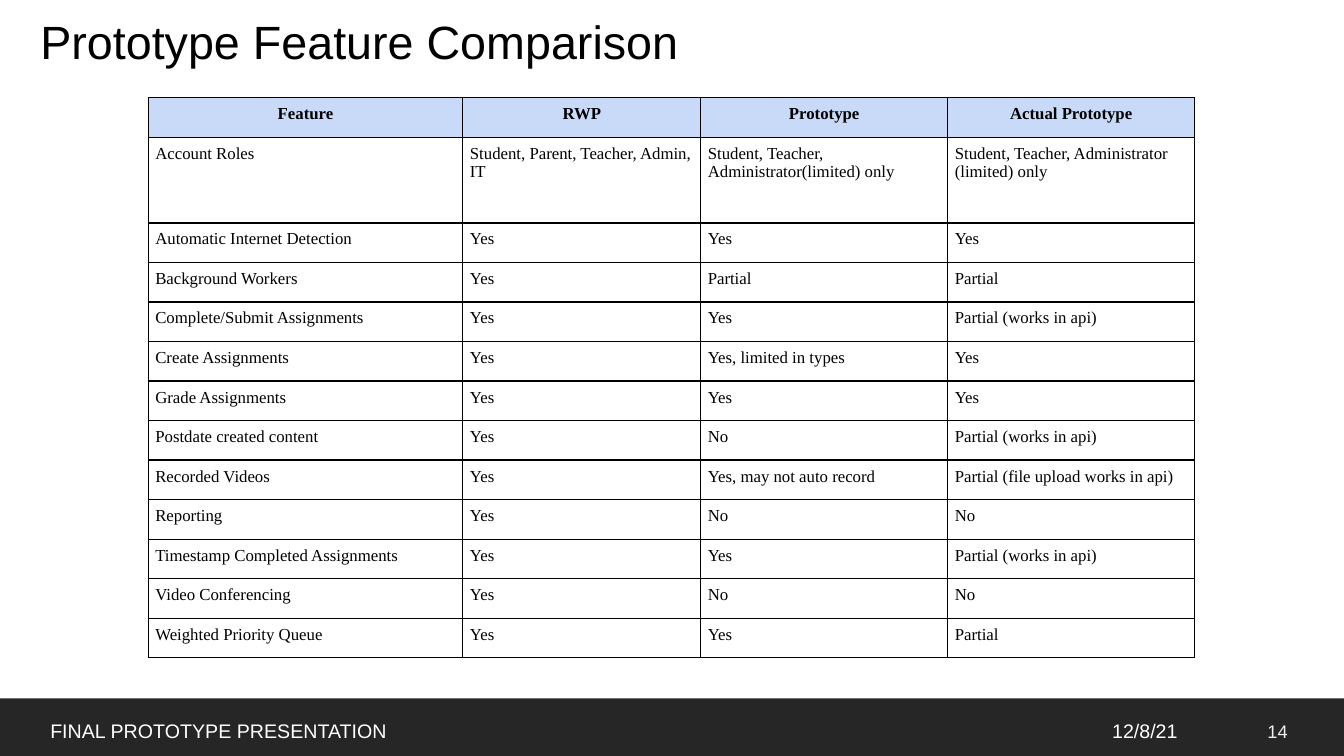
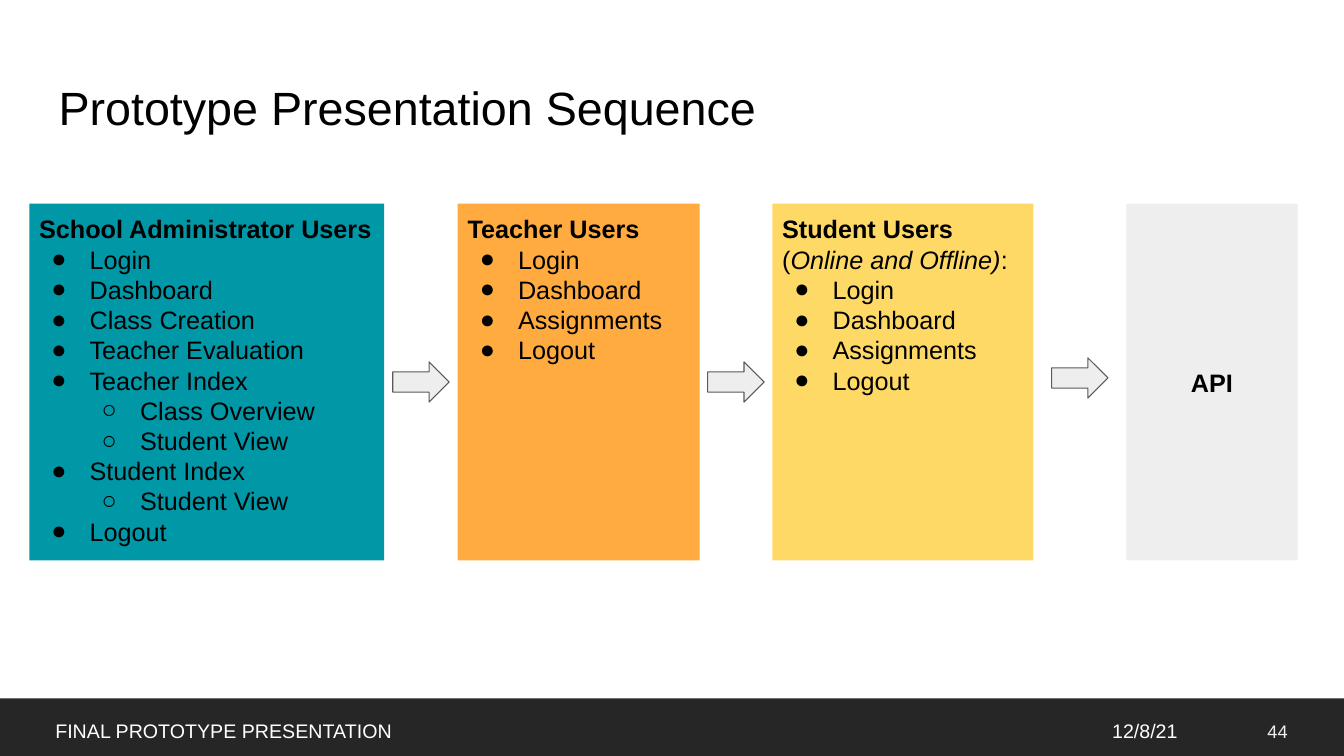
import dataclasses

import pptx
import pptx.dml.color
import pptx.enum.shapes
import pptx.enum.text
import pptx.oxml.ns
import pptx.util
from lxml import etree

ANCHOR = pptx.enum.text.MSO_ANCHOR
ALIGN = pptx.enum.text.PP_ALIGN
PRESET = pptx.enum.shapes.MSO_SHAPE


@dataclasses.dataclass(frozen=True)
class Theme:
    sans: str = "Arial"
    serif: str = "Times New Roman"
    black: str = "000000"
    white: str = "FFFFFF"
    band: str = "262626"
    page_number: str = "EFEFEF"
    header: str = "C9DAF8"
    teal: str = "0097A7"
    orange: str = "FFAB40"
    yellow: str = "FFD966"
    grey: str = "EEEEEE"
    outline: str = "595959"
    title_size: float = 33.3
    card_size: float = 18
    footer_size: float = 14
    number_size: float = 13
    table_size: float = 12


THEME = Theme()
SLIDE_WIDTH = pptx.util.Inches(13.33)
SLIDE_HEIGHT = pptx.util.Inches(7.5)

# Feature table: column widths and row heights in percent of the slide
COLUMN_WIDTHS = (23.41, 17.7, 18.38, 18.38)
ROW_HEIGHT, TALL_ROW_HEIGHT, TALL_ROW = 5.23, 11.33, 1
FEATURES = (
    ("Feature", "RWP", "Prototype", "Actual Prototype"),
    ("Account Roles", "Student, Parent, Teacher, Admin, IT",
     "Student, Teacher, Administrator(limited) only",
     "Student, Teacher, Administrator (limited) only"),
    ("Automatic Internet Detection", "Yes", "Yes", "Yes"),
    ("Background Workers", "Yes", "Partial", "Partial"),
    ("Complete/Submit Assignments", "Yes", "Yes", "Partial (works in api)"),
    ("Create Assignments", "Yes", "Yes, limited in types", "Yes"),
    ("Grade Assignments", "Yes", "Yes", "Yes"),
    ("Postdate created content", "Yes", "No", "Partial (works in api)"),
    ("Recorded Videos", "Yes", "Yes, may not auto record",
     "Partial (file upload works in api)"),
    ("Reporting", "Yes", "No", "No"),
    ("Timestamp Completed Assignments", "Yes", "Yes", "Partial (works in api)"),
    ("Video Conferencing", "Yes", "No", "No"),
    ("Weighted Priority Queue", "Yes", "Yes", "Partial"),
)

# Sequence cards: left, width, fill, heading runs, (level, item) list
CARD_TOP, CARD_HEIGHT = 26.93, 47.2
ARROW_WIDTH, ARROW_HEIGHT = 4.2, 5.33
ARROW_RISES = (0, 0, 0.53)
BOLD = {"bold": True}
CARDS = (
    (2.18, 26.41, THEME.teal, [("School Administrator Users", BOLD)],
     [(0, "Login"), (0, "Dashboard"), (0, "Class Creation"),
      (0, "Teacher Evaluation"), (0, "Teacher Index"),
      (1, "Class Overview"), (1, "Student View"),
      (0, "Student Index"), (1, "Student View"), (0, "Logout")]),
    (34.06, 18, THEME.orange, [("Teacher Users", BOLD)],
     [(0, "Login"), (0, "Dashboard"), (0, "Assignments"), (0, "Logout")]),
    (57.46, 19.43, THEME.yellow,
     [("Student Users ", BOLD), ("(", {}),
      ("Online and Offline)", {"italic": True}), (":", {})],
     [(0, "Login"), (0, "Dashboard"), (0, "Assignments"), (0, "Logout")]),
    (83.8, 12.75, THEME.grey, [("API", BOLD)], []),
)


def across(percent):
    return round(SLIDE_WIDTH * percent / 100)


def down(percent):
    return round(SLIDE_HEIGHT * percent / 100)


def place(left, top, width, height):
    return across(left), down(top), across(width), down(height)


def rgb(value):
    return pptx.dml.color.RGBColor.from_string(value)


def write(paragraph, text, size, color=THEME.black, font=THEME.sans,
          bold=False, italic=False, align=ALIGN.LEFT):
    paragraph.alignment = align
    run = paragraph.add_run()
    run.text = text
    run.font.size = pptx.util.Pt(size)
    run.font.name = font
    run.font.bold = bold
    run.font.italic = italic
    run.font.color.rgb = rgb(color)


def set_frame(frame, horizontal, vertical, anchor=ANCHOR.TOP):
    frame.word_wrap = True
    frame.auto_size = pptx.enum.text.MSO_AUTO_SIZE.NONE
    frame.vertical_anchor = anchor
    frame.margin_left = frame.margin_right = pptx.util.Inches(horizontal)
    frame.margin_top = frame.margin_bottom = pptx.util.Inches(vertical)


def add_child(parent, tag, **attributes):
    return etree.SubElement(parent, pptx.oxml.ns.qn(tag), attributes)


def add_bullet(paragraph, level):
    paragraph.level = level
    properties = paragraph._p.get_or_add_pPr()
    properties.set("marL", str(pptx.util.Inches(0.5 * (level + 1))))
    properties.set("indent", str(pptx.util.Inches(-0.38)))
    add_child(add_child(properties, "a:buClr"), "a:srgbClr", val=THEME.black)
    add_child(properties, "a:buSzPts", val=str(THEME.card_size * 100))
    add_child(properties, "a:buFont", typeface=THEME.sans)
    add_child(properties, "a:buChar", char="●○"[level])


def add_block(slide, box, fill, preset=PRESET.RECTANGLE, line=None):
    shape = slide.shapes.add_shape(preset, *place(*box))
    shape.shadow.inherit = False
    shape.fill.solid()
    shape.fill.fore_color.rgb = rgb(fill)
    if line:
        shape.line.color.rgb = rgb(line)
        shape.line.width = pptx.util.Pt(0.75)
    else:
        shape.line.fill.background()
    return shape


def add_label(slide, box, text, **text_format):
    label = slide.shapes.add_textbox(*place(*box))
    set_frame(label.text_frame, 0.1, 0.05, ANCHOR.MIDDLE)
    write(label.text_frame.paragraphs[0], text, **text_format)


def add_page(presentation, title, title_left, title_top, number, footer_left):
    """Add a slide with its title and the shared footer band."""
    slide = presentation.slides.add_slide(presentation.slide_layouts[5])
    heading = slide.shapes.title
    heading.left, heading.top, heading.width, heading.height = place(
        title_left, title_top, 93.17, 11.07)
    set_frame(heading.text_frame, 0.13, 0.13)
    write(heading.text_frame.paragraphs[0], title, size=THEME.title_size)

    add_block(slide, (0, 92.4, 100, 7.6), THEME.band)
    footer = {"size": THEME.footer_size, "color": THEME.white}
    add_label(slide, (footer_left, 94, 55.96, 5.33),
              "FINAL PROTOTYPE PRESENTATION", **footer)
    add_label(slide, (67.14, 94, 21.23, 5.33), "12/8/21",
              align=ALIGN.RIGHT, **footer)
    add_label(slide, (90.17, 94, 6.38, 5.33), str(number), align=ALIGN.RIGHT,
              size=THEME.number_size, color=THEME.page_number)
    return slide


def add_borders(cell):
    properties = cell._tc.get_or_add_tcPr()
    for position, side in enumerate(("a:lnL", "a:lnR", "a:lnT", "a:lnB")):
        line = add_child(properties, side, w=str(pptx.util.Pt(1)))
        add_child(add_child(line, "a:solidFill"), "a:srgbClr", val=THEME.black)
        properties.insert(position, line)


def fill_cell(cell, text, is_header):
    cell.margin_left = cell.margin_right = pptx.util.Inches(0.07)
    cell.margin_top = cell.margin_bottom = pptx.util.Inches(0.07)
    if is_header:
        cell.fill.solid()
        cell.fill.fore_color.rgb = rgb(THEME.header)
    else:
        cell.fill.background()
    add_borders(cell)
    write(cell.text_frame.paragraphs[0], text, size=THEME.table_size,
          font=THEME.serif, bold=is_header,
          align=ALIGN.CENTER if is_header else ALIGN.LEFT)


def add_feature_table(slide):
    heights = [TALL_ROW_HEIGHT if index == TALL_ROW else ROW_HEIGHT
               for index in range(len(FEATURES))]
    box = place(11.03, 12.93, sum(COLUMN_WIDTHS), sum(heights))
    table = slide.shapes.add_table(len(FEATURES), len(COLUMN_WIDTHS), *box).table
    table.horz_banding = False
    for column, width in zip(table.columns, COLUMN_WIDTHS):
        column.width = across(width)
    for index, (row, height) in enumerate(zip(table.rows, heights)):
        row.height = down(height)
        for cell, text in zip(row.cells, FEATURES[index]):
            fill_cell(cell, text, is_header=index == 0)


def add_card(slide, left, width, fill, heading, items):
    card = add_block(slide, (left, CARD_TOP, width, CARD_HEIGHT), fill)
    frame = card.text_frame
    set_frame(frame, 0.1, 0.1, ANCHOR.TOP if items else ANCHOR.MIDDLE)
    for text, style in heading:
        write(frame.paragraphs[0], text, size=THEME.card_size,
              align=ALIGN.LEFT if items else ALIGN.CENTER, **style)
    for level, item in items:
        paragraph = frame.add_paragraph()
        add_bullet(paragraph, level)
        write(paragraph, item, size=THEME.card_size)


def add_sequence(slide):
    for card in CARDS:
        add_card(slide, *card)
    # Each arrow sits in the middle of the gap between two cards
    for card, following, rise in zip(CARDS, CARDS[1:], ARROW_RISES):
        gap_center = (card[0] + card[1] + following[0]) / 2
        top = CARD_TOP + (CARD_HEIGHT - ARROW_HEIGHT) / 2 - rise
        add_block(slide, (gap_center - ARROW_WIDTH / 2, top,
                          ARROW_WIDTH, ARROW_HEIGHT),
                  THEME.grey, PRESET.RIGHT_ARROW, THEME.outline)


def main():
    presentation = pptx.Presentation()
    presentation.slide_width = SLIDE_WIDTH
    presentation.slide_height = SLIDE_HEIGHT

    # Feature comparison
    add_feature_table(add_page(presentation, "Prototype Feature Comparison",
                               2.03, 0, number=14, footer_left=3))
    # Presentation sequence
    add_sequence(add_page(presentation, "Prototype Presentation Sequence",
                          3.38, 8.67, number=44, footer_left=3.38))

    presentation.save("out.pptx")


if __name__ == "__main__":
    main()
